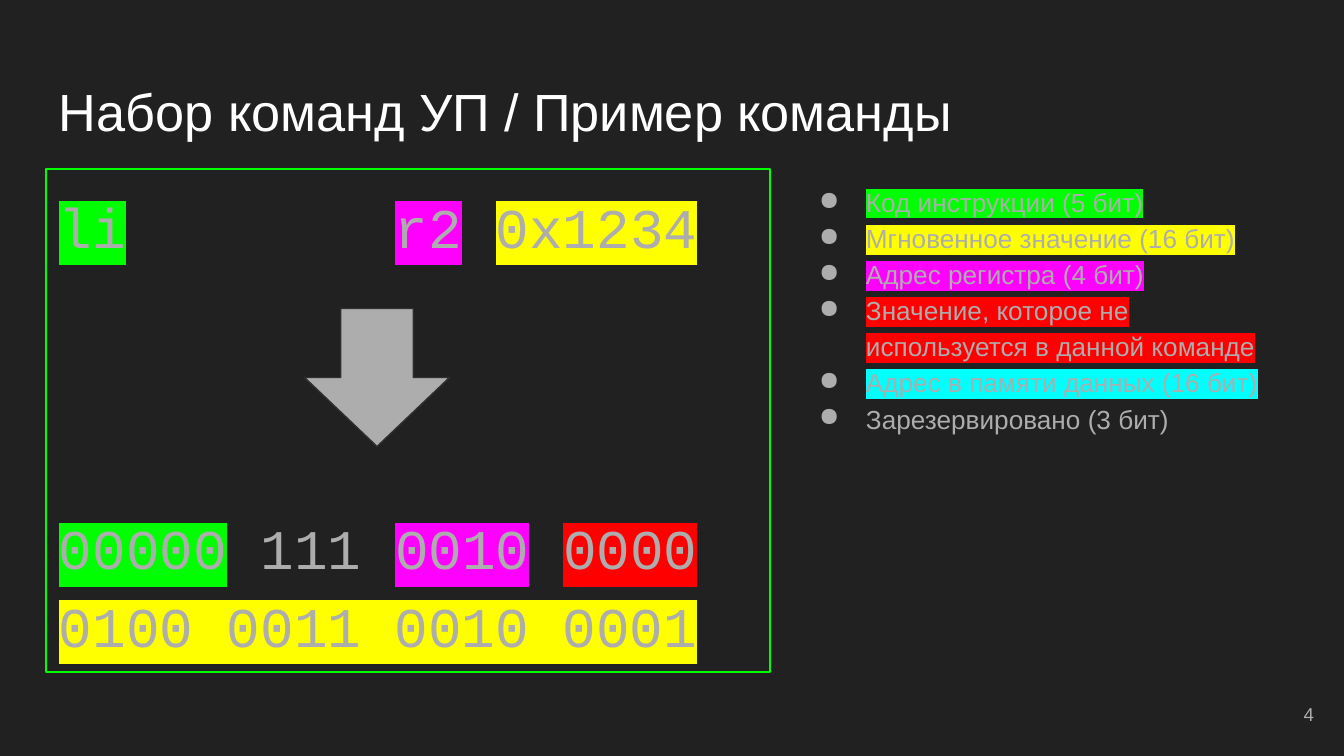
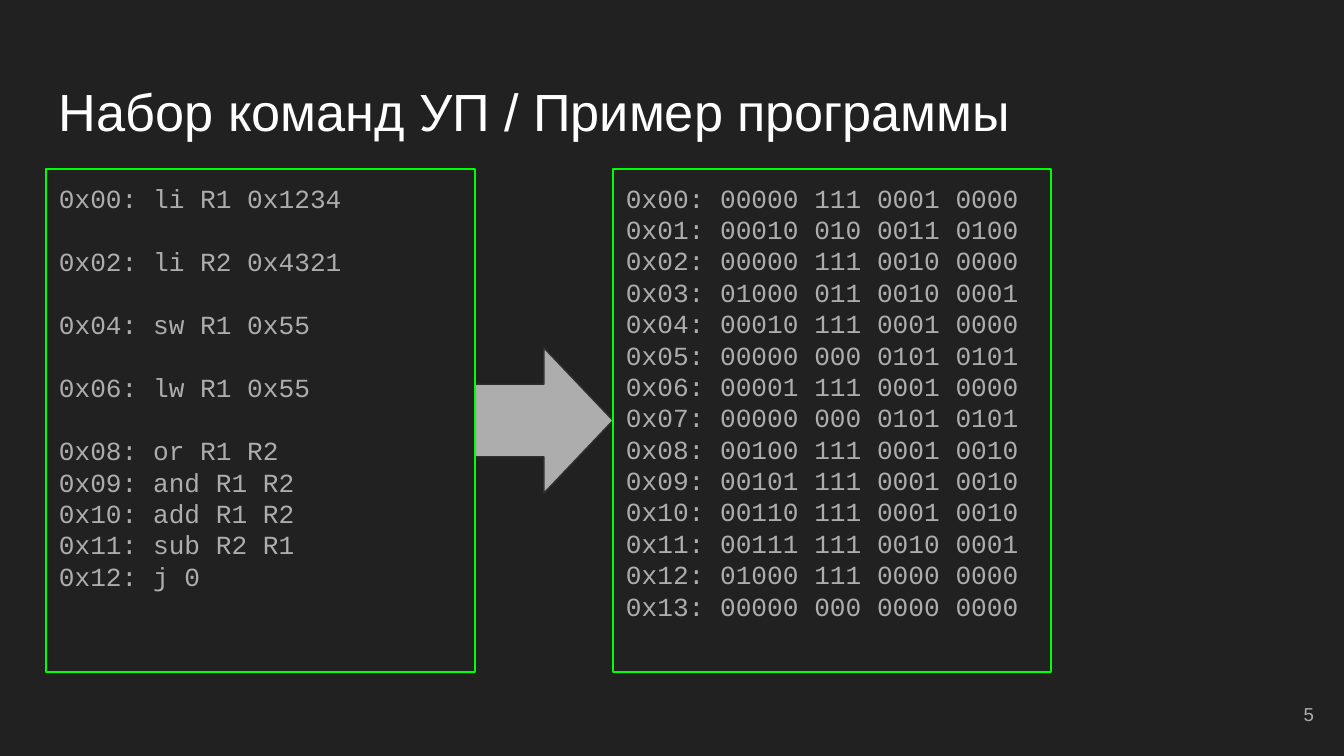
import lxml.etree
import pptx
import pptx.dml.color
import pptx.enum.shapes
import pptx.enum.text
import pptx.oxml.ns
import pptx.util

PX = 6804  # EMU per px, 1344 px across the slide
INSET = 13 * PX
GREY, GREEN, YELLOW = "ADADAD", "00FF00", "FFFF00"
MAGENTA, RED, CYAN = "FF00FF", "FF0000", "00FFFF"
CODE_FACE, TEXT_FACE = "Courier New", "Arial"
BOX_TOP, BOX_HEIGHT = 169, 503
qn = pptx.oxml.ns.qn


def rgb(value):
    return pptx.dml.color.RGBColor.from_string(value)


def add_text(slide, place, lines, face, size, spacing=1.0, bullet=None, tab=None, framed=False):
    """Add a text box; each line is a list of (text, highlight or None) parts."""
    box = slide.shapes.add_textbox(*[value * PX for value in place])
    if framed:
        box.line.color.rgb = rgb(GREEN)
        box.line.width = pptx.util.Pt(0.75)
    frame = box.text_frame
    frame.word_wrap = True
    frame.margin_left = frame.margin_right = frame.margin_top = frame.margin_bottom = INSET
    for index, parts in enumerate(lines):
        paragraph = frame.paragraphs[0] if index == 0 else frame.add_paragraph()
        paragraph.line_spacing = spacing
        properties = paragraph._p.get_or_add_pPr()
        if bullet:
            properties.set("marL", str(67 * PX))
            properties.set("indent", str(-47 * PX))
            bullet_colour = lxml.etree.SubElement(properties, qn("a:buClr"))
            lxml.etree.SubElement(bullet_colour, qn("a:srgbClr"), val=GREY)
            lxml.etree.SubElement(properties, qn("a:buChar"), char=bullet)
        if tab:
            stops = lxml.etree.SubElement(properties, qn("a:tabLst"))
            lxml.etree.SubElement(stops, qn("a:tab"), pos=str(tab * PX), algn="l")
        paragraph.font.name = face
        paragraph.font.size = pptx.util.Pt(size)
        paragraph.font.color.rgb = rgb(GREY)
        for text, highlight in parts:
            run = paragraph.add_run()
            run.text = text
            if highlight:
                marker = lxml.etree.SubElement(run._r.get_or_add_rPr(), qn("a:highlight"))
                lxml.etree.SubElement(marker, qn("a:srgbClr"), val=highlight)
    return frame


deck = pptx.Presentation()
deck.slide_width, deck.slide_height = 1344 * PX, 756 * PX
background = deck.slide_master.background.fill
background.solid()
background.fore_color.rgb = rgb("212121")

# Title, arrow and slide number
pages = [
    ("Набор команд УП / Пример команды", "4", (308, 305), 90),
    ("Набор команд УП / Пример программы", "5", (475, 348), 0),
]
slides = []
for heading, number, (arrow_left, arrow_top), turn in pages:
    slide = deck.slides.add_slide(deck.slide_layouts[5])
    slides.append(slide)
    title = slide.shapes.title
    title.left, title.top, title.width, title.height = 46 * PX, 66 * PX, 1253 * PX, 85 * PX
    frame = title.text_frame
    frame.text = heading
    frame.vertical_anchor = pptx.enum.text.MSO_ANCHOR.TOP
    frame.auto_size = pptx.enum.text.MSO_AUTO_SIZE.NONE
    frame.margin_left = frame.margin_right = frame.margin_top = frame.margin_bottom = INSET
    paragraph = frame.paragraphs[0]
    paragraph.alignment = pptx.enum.text.PP_ALIGN.LEFT
    paragraph.font.name = TEXT_FACE
    paragraph.font.size = pptx.util.Pt(28)
    paragraph.font.color.rgb = rgb("FFFFFF")

    arrow = slide.shapes.add_shape(
        pptx.enum.shapes.MSO_SHAPE.RIGHT_ARROW,
        arrow_left * PX, arrow_top * PX, 138 * PX, 145 * PX)
    arrow.rotation = turn
    arrow.shadow.inherit = False
    arrow.fill.solid()
    arrow.fill.fore_color.rgb = rgb(GREY)
    arrow.line.color.rgb = rgb("303030")
    arrow.line.width = pptx.util.Pt(0.75)

    footer = add_text(slide, (1246, 685, 81, 58), [[(number, None)]], TEXT_FACE, 10)
    footer.vertical_anchor = pptx.enum.text.MSO_ANCHOR.MIDDLE
    footer.paragraphs[0].alignment = pptx.enum.text.PP_ALIGN.RIGHT

command_slide, program_slide = slides

# One command and its encoding
command = [
    [("li", GREEN), ("\t", None), ("r2", MAGENTA), (" ", None), ("0x1234", YELLOW)],
    [("00000", GREEN), (" 111 ", None), ("0010", MAGENTA), (" ", None), ("0000", RED)],
    [("0100 0011 0010 0001", YELLOW)],
]
encoding = add_text(command_slide, (46, BOX_TOP, 724, BOX_HEIGHT), command,
                    CODE_FACE, 30, spacing=1.15, tab=336, framed=True)
encoding.paragraphs[1].space_before = pptx.util.Pt(131)

legend = [
    ("Код инструкции (5 бит)", GREEN),
    ("Мгновенное значение (16 бит)", YELLOW),
    ("Адрес регистра (4 бит)", MAGENTA),
    ("Значение, которое не используется в данной команде", RED),
    ("Адрес в памяти данных (16 бит)", CYAN),
    ("Зарезервировано (3 бит)", None),
]
add_text(command_slide, (786, BOX_TOP, 512, BOX_HEIGHT), [[entry] for entry in legend],
         TEXT_FACE, 14, spacing=1.15, bullet="●")

# Program and its machine code
program = [
    "0x00: li R1 0x1234",
    "0x02: li R2 0x4321",
    "0x04: sw R1 0x55",
    "0x06: lw R1 0x55",
    "0x08: or R1 R2",
    "0x09: and R1 R2",
    "0x10: add R1 R2",
    "0x11: sub R2 R1",
    "0x12: j 0",
]
machine_code = [
    "0x00: 00000 111 0001 0000",
    "0x01: 00010 010 0011 0100",
    "0x02: 00000 111 0010 0000",
    "0x03: 01000 011 0010 0001",
    "0x04: 00010 111 0001 0000",
    "0x05: 00000 000 0101 0101",
    "0x06: 00001 111 0001 0000",
    "0x07: 00000 000 0101 0101",
    "0x08: 00100 111 0001 0010",
    "0x09: 00101 111 0001 0010",
    "0x10: 00110 111 0001 0010",
    "0x11: 00111 111 0010 0001",
    "0x12: 01000 111 0000 0000",
    "0x13: 00000 000 0000 0000",
]
listings = []
for left, width, lines in [(46, 429, program), (613, 438, machine_code)]:
    listings.append(add_text(program_slide, (left, BOX_TOP, width, BOX_HEIGHT),
                             [[(line, None)] for line in lines], CODE_FACE, 14, framed=True))
# Each two-word instruction leaves one line free after it
for paragraph in listings[0].paragraphs[1:5]:
    paragraph.space_before = pptx.util.Pt(17)

deck.save("out.pptx")
